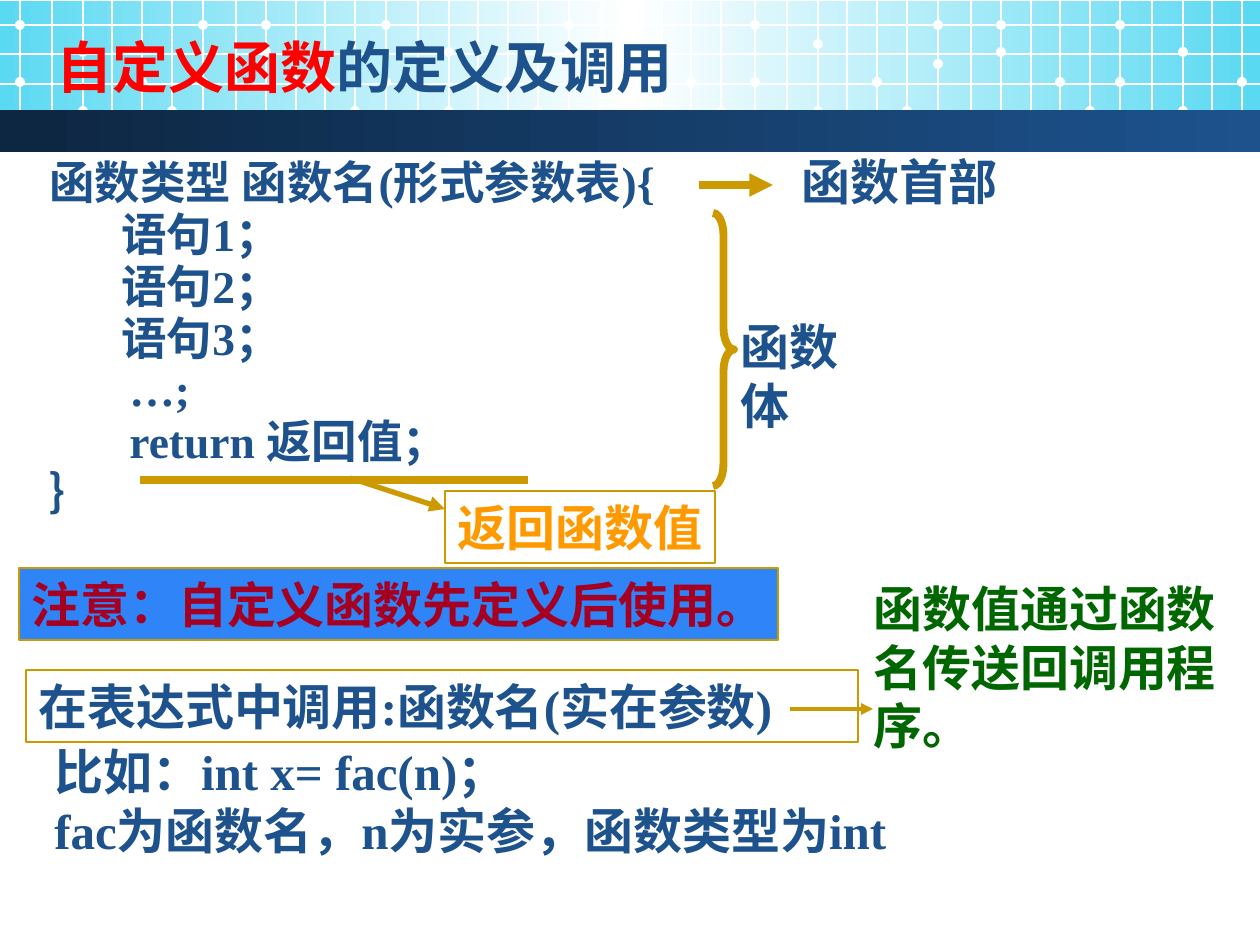
from copy import deepcopy

from pptx import Presentation
from pptx.dml.color import RGBColor
from pptx.enum.shapes import MSO_CONNECTOR, MSO_SHAPE
from pptx.oxml.ns import qn
from pptx.oxml.xmlchemy import OxmlElement
from pptx.util import Pt

RECT, OVAL, BRACE = MSO_SHAPE.RECTANGLE, MSO_SHAPE.OVAL, MSO_SHAPE.RIGHT_BRACE
LINE = MSO_CONNECTOR.STRAIGHT

WHITE = RGBColor(0xFF, 0xFF, 0xFF)
CYAN = RGBColor(0x5A, 0xD9, 0xF2)
NAVY = RGBColor(0x0D, 0x26, 0x41)
BLUE = RGBColor(0x1D, 0x52, 0x8D)
SKY = RGBColor(0x2F, 0x85, 0xF7)
GOLD = RGBColor(0xCC, 0x99, 0x00)
RED = RGBColor(0xFF, 0x00, 0x00)
WINE = RGBColor(0xA5, 0x00, 0x21)
ORANGE = RGBColor(0xFF, 0x99, 0x00)
GREEN = RGBColor(0x00, 0x66, 0x00)

FONT = "Times New Roman"
WIDE, HIGH = 1260, 945


def px(n):
    return round(n * 914400 / 126)


def add_box(shapes, kind, x, y, w, h):
    shape = shapes.add_shape(kind, px(x), px(y), px(w), px(h))
    shape.shadow.inherit = False
    shape.line.fill.background()
    return shape


def add_grad(shapes, x, y, w, h, tones):
    fill = add_box(shapes, RECT, x, y, w, h).fill
    fill.gradient()
    fill.gradient_angle = 0
    stops = shapes[-1].element.spPr.find(".//" + qn("a:gsLst"))
    for _ in tones[2:]:
        stops.append(deepcopy(stops[-1]))
    for i, (stop, tone) in enumerate(zip(fill.gradient_stops, tones)):
        stop.color.rgb = tone
        stop.position = i / (len(tones) - 1)


def add_line(shapes, x1, y1, x2, y2, color, width, arrow=False):
    line = shapes.add_connector(LINE, px(x1), px(y1), px(x2), px(y2))
    line.line.color.rgb = color
    line.line.width = Pt(width)
    if arrow:
        tail = OxmlElement("a:tailEnd")
        tail.set("type", "triangle")
        line.line._get_or_add_ln().append(tail)
    line.element.spPr.append(OxmlElement("a:effectLst"))


def add_text(shapes, x, y, w, h, text, color=BLUE, size=28, wrap=True,
             edge=None, back=None):
    box = shapes.add_textbox(px(x), px(y), px(w), px(h))
    frame = box.text_frame
    frame.text = text
    frame.word_wrap = wrap
    for para in frame.paragraphs:
        for run in para.runs:
            style(run, color, size)
    if edge:
        box.line.color.rgb = edge
        box.line.width = Pt(0.75)
    if back:
        box.fill.solid()
        box.fill.fore_color.rgb = back
    return frame


def style(run, color, size):
    font = run.font
    font.name, font.size, font.bold = FONT, Pt(size), True
    font.color.rgb = color


def add_head(shapes, x, y, w):
    add_grad(shapes, x, y + 1, w, 129, (CYAN, WHITE, CYAN))

    # Grid of four tiles, each with its own heights for two of the dots
    cols = (0, 32, 63, 92, 122, 152, 183, 216, 246, 276, 305, 335)
    tiles = ((20, 52, 82), (386, 52, 54), (755, 44, 64), (1120, 52, 82))
    for left, mid, low in tiles:
        dots = ((0, 82), (0, 25), (2, mid), (2, 111), (4, 82), (5, 111),
                (6, low), (6, 25), (8, 52), (8, 25), (10, 82), (11, 111))
        for col in cols:
            if left + col < w:
                add_line(shapes, x + left + col, y, x + left + col, y + 139,
                         WHITE, 0.75)
        for col, row in dots:
            spot = left + cols[col]
            if spot < w:
                dot = add_box(shapes, OVAL, x + spot - 5, y + row - 5, 10, 10)
                dot.fill.solid()
                dot.fill.fore_color.rgb = WHITE
    for row in (25, 54, 84, 112):
        add_line(shapes, x, y + row, x + w, y + row, WHITE, 0.75)

    # Dark bar and title
    add_grad(shapes, x, y + 110, w, 42, (NAVY, BLUE))
    frame = add_text(shapes, x + 44, y + 26, 1121, 81, "自定义函数", RED, 32)
    rest = frame.paragraphs[0].add_run()
    rest.text = "的定义及调用"
    style(rest, BLUE, 32)


def add_code(shapes, x, y):
    # Function outline
    rows = (("函数类型 函数名(形式参数表){", 0), ("语句1；", 72),
            ("语句2；", 72), ("语句3；", 72), ("…;", 80),
            ("return 返回值；", 80), ("｝", 0))
    text = "\n".join(row for row, _ in rows)
    frame = add_text(shapes, x, y, 906, 375, text, size=26)
    for para, (_, inset) in zip(frame.paragraphs, rows):
        para.line_spacing = 0.95
        props = para._p.get_or_add_pPr()
        props.set("marL", str(px(inset)))
        props.set("indent", "0")

    # Head and body labels
    add_line(shapes, x + 662, y + 33, x + 736, y + 33, GOLD, 4.5, True)
    add_text(shapes, x + 752, y - 7, 238, 72, "函数首部")
    brace = add_box(shapes, BRACE, x + 676, y + 61, 21, 273)
    brace.fill.background()
    brace.line.color.rgb = GOLD
    brace.line.width = Pt(4.5)
    brace.adjustments[0] = 1.04
    add_text(shapes, x + 691, y + 158, 171, 72, "函数体", wrap=False)

    # Return value
    add_line(shapes, x + 103, y + 328, x + 491, y + 328, GOLD, 4.5)
    add_line(shapes, x + 313, y + 326, x + 408, y + 357, GOLD, 3, True)
    add_text(shapes, x + 408, y + 339, 270, 72, "返回函数值", ORANGE,
             wrap=False, edge=GOLD)


def add_call(shapes, x, y):
    add_text(shapes, x + 7, y + 102, 832, 72,
             "在表达式中调用:函数名(实在参数)", edge=GOLD)
    add_text(shapes, x + 23, y + 167, 1197, 131,
             "比如：int x= fac(n)；\nfac为函数名，n为实参，函数类型为int")
    add_text(shapes, x, y, 759, 72, "注意：自定义函数先定义后使用。", WINE,
             wrap=False, edge=GOLD, back=SKY)
    add_line(shapes, x + 771, y + 141, x + 854, y + 141, GOLD, 2.25, True)
    add_text(shapes, x + 842, y + 4, 399, 189,
             "函数值通过函数名传送回调用程序。", GREEN)


def main():
    deck = Presentation()
    deck.slide_width, deck.slide_height = px(WIDE), px(HIGH)
    shapes = deck.slides.add_slide(deck.slide_layouts[6]).shapes
    add_head(shapes, 0, 0, WIDE)
    add_code(shapes, 37, 152)
    add_call(shapes, 19, 568)
    deck.save("out.pptx")


if __name__ == "__main__":
    main()
